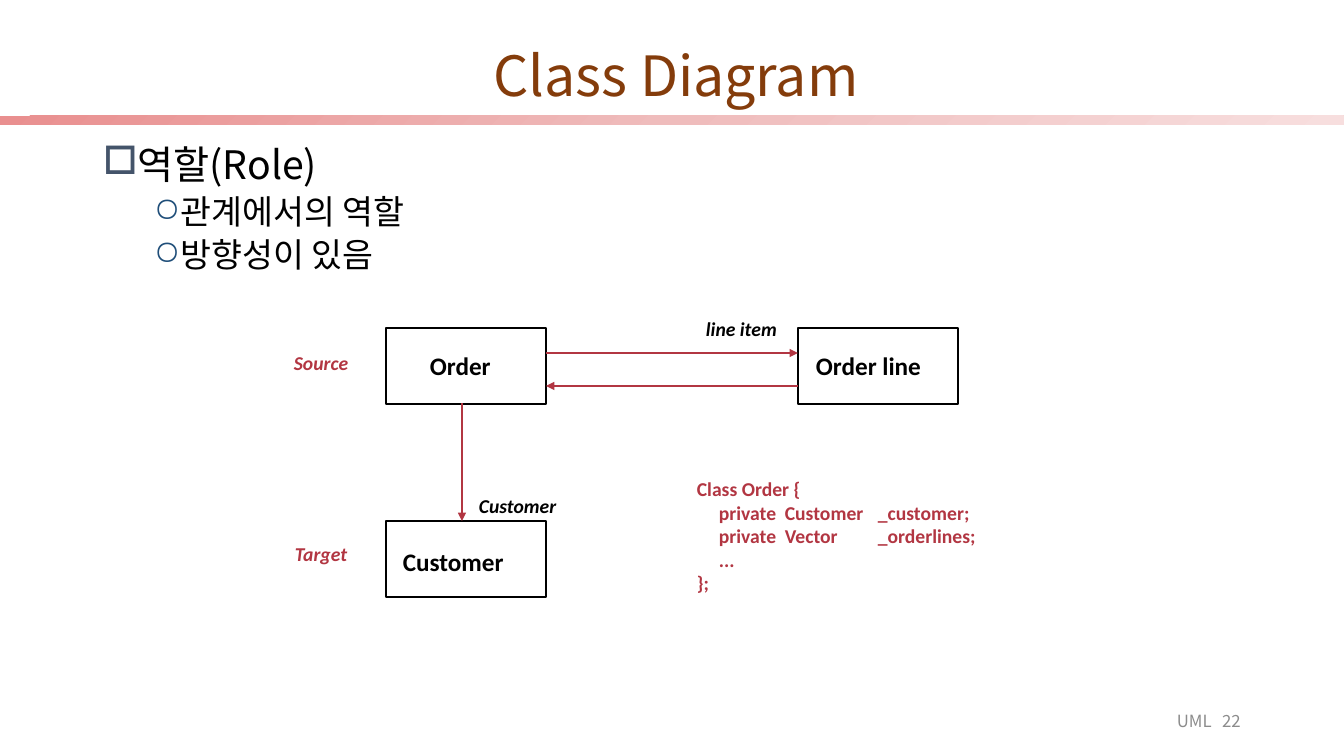
from pptx import Presentation
from pptx.dml.color import RGBColor
from pptx.enum.shapes import MSO_CONNECTOR, MSO_SHAPE
from pptx.enum.text import MSO_ANCHOR, PP_ALIGN
from pptx.oxml import parse_xml
from pptx.oxml.ns import nsdecls
from pptx.util import Emu, Pt
from lxml.etree import SubElement
from pptx.oxml.ns import qn

PX = 914400 / 100.8
COLORS = {"black": "000000", "red": "B23642", "brown": "843C0B", "gray": "8C8C8C",
          "slate": "44546A", "navy": "1F4E79"}
BAR_STOPS = [(0, "E98F8F"), (50, "EFBCBC"), (100, "F7DEDE")]
SANS, LATIN = "Noto Sans CJK KR", "Calibri"

TITLE = "Class Diagram"
BULLETS = [
    ("역할(Role)", 0, 28, 25, 10, "□", "slate"),
    ("관계에서의 역할", 1, 24, 76, 5, "○", "navy"),
    ("방향성이 있음", 1, 24, 76, 5, "○", "navy"),
]
HANGING = 25
CLASS_SIZE = (160, 76)
CLASSES = [
    ("Order", (386, 328), (420, 345, 111, 40)),
    ("Order line", (798, 328), (806, 345, 174, 40)),
    ("Customer", (386, 521), (393, 541, 162, 40)),
]
ARROWS = [
    ((462, 403), (462, 521)),
    ((546, 353), (798, 353)),
    ((798, 386), (546, 386)),
]
ROLES = [
    ("Customer", (469, 489, 131, 34), "black"),
    ("line item", (696, 312, 116, 34), "black"),
    ("Source", (284, 346, 102, 34), "red"),
    ("Target", (285, 537, 98, 34), "red"),
]
CODE = [
    "Class Order {",
    "\tprivate\tCustomer\t_customer;",
    "\tprivate\tVector\t_orderlines;",
    "\t...",
    "};",
]
CODE_TABS = [(22, "l"), (88, "l"), (181, "l")]
FOOTER = "\tUML\t22"
FOOTER_TABS = [(218, "l"), (282, "r")]


def px(value):
    return Emu(round(value * PX))


def rgb(name):
    return RGBColor.from_string(COLORS[name])


def set_tabs(para, tabs):
    tab_list = SubElement(para._p.get_or_add_pPr(), qn("a:tabLst"))
    for position, align in tabs:
        SubElement(tab_list, qn("a:tab"), pos=str(px(position)), algn=align)


def set_bullet(para, mark, color, indent):
    props = para._p.get_or_add_pPr()
    props.set("marL", str(px(indent)))
    props.set("indent", str(-px(HANGING)))
    bullet_color = SubElement(props, qn("a:buClr"))
    SubElement(bullet_color, qn("a:srgbClr"), val=COLORS[color])
    SubElement(props, qn("a:buChar"), char=mark)


def style(para, size, color, face, bold=False, italic=False):
    font = para.font
    font.size, font.name = Pt(size), face
    font.bold, font.italic = bold, italic
    font.color.rgb = rgb(color)
    for span in para.runs:
        SubElement(span._r.get_or_add_rPr(), qn("a:ea"), typeface=face)


def add_text(page, place, lines, size, color, face=LATIN, bold=False, italic=False,
             anchor=MSO_ANCHOR.TOP):
    frame = page.shapes.add_textbox(*map(px, place)).text_frame
    frame.word_wrap = True
    frame.vertical_anchor = anchor
    frame.text = "\n".join(lines)
    for para in frame.paragraphs:
        style(para, size, color, face, bold, italic)
    return frame.paragraphs


def add_rectangle(page, place):
    box = page.shapes.add_shape(MSO_SHAPE.RECTANGLE, *map(px, place))
    box.shadow.inherit = False
    box.fill.background()
    return box


def add_bar(page):
    bar = add_rectangle(page, (0, 116, 1344, 9))
    bar.line.fill.background()
    stops = "".join(f'<a:gs pos="{pos * 1000}"><a:srgbClr val="{color}"/></a:gs>'
                    for pos, color in BAR_STOPS)
    gradient = parse_xml(f'<a:gradFill {nsdecls("a")} rotWithShape="1"><a:gsLst>{stops}</a:gsLst>'
                         '<a:lin ang="2700000" scaled="0"/></a:gradFill>')
    props = bar._element.spPr
    props.replace(props.find(qn("a:noFill")), gradient)


def add_arrow(page, start, end):
    arrow = page.shapes.add_connector(MSO_CONNECTOR.STRAIGHT, *map(px, start + end))
    arrow.line.color.rgb = rgb("red")
    arrow.line.width = Pt(1.5)
    SubElement(arrow.line._get_or_add_ln(), qn("a:tailEnd"), type="triangle")
    SubElement(arrow._element.spPr, qn("a:effectLst"))


def add_bullets(page):
    paras = add_text(page, (93, 141, 1159, 540), [row[0] for row in BULLETS], 24, "black", SANS)
    for para, (_, level, size, indent, before, mark, color) in zip(paras, BULLETS):
        para.level = level
        para.font.size = Pt(size)
        para.line_spacing = 0.9
        para.space_before = Pt(before)
        set_bullet(para, mark, color, indent)


def main():
    deck = Presentation()
    deck.slide_width, deck.slide_height = px(1344), px(756)
    page = deck.slides.add_slide(deck.slide_layouts[6])

    add_bar(page)
    add_bullets(page)
    for name, corner, label in CLASSES:
        box = add_rectangle(page, corner + CLASS_SIZE)
        box.line.color.rgb = rgb("black")
        box.line.width = Pt(1.5)
        add_text(page, label, [name], 18, "black", bold=True)
    for start, end in ARROWS:
        add_arrow(page, start, end)
    for name, place, color in ROLES:
        add_text(page, place, [name], 14, color, bold=True, italic=True)
    for para in add_text(page, (687, 472, 402, 129), CODE, 14, "red", bold=True):
        set_tabs(para, CODE_TABS)

    title = add_text(page, (60, 48, 1232, 61), [TITLE], 39.6, "brown", SANS,
                     anchor=MSO_ANCHOR.MIDDLE)[0]
    title.alignment = PP_ALIGN.CENTER
    title.line_spacing = 0.9
    footer = add_text(page, (949, 701, 302, 40), [FOOTER], 12, "gray", SANS,
                      anchor=MSO_ANCHOR.MIDDLE)[0]
    set_tabs(footer, FOOTER_TABS)

    deck.save("out.pptx")


if __name__ == "__main__":
    main()
